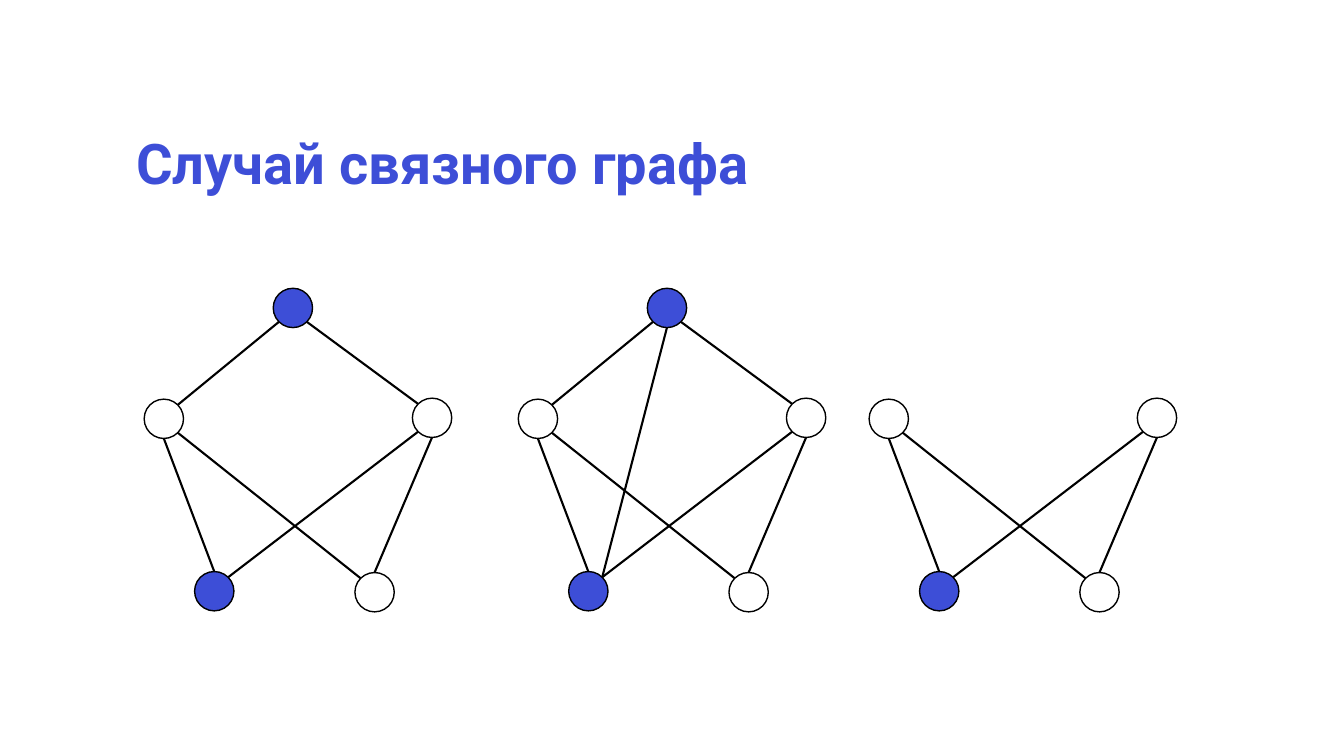
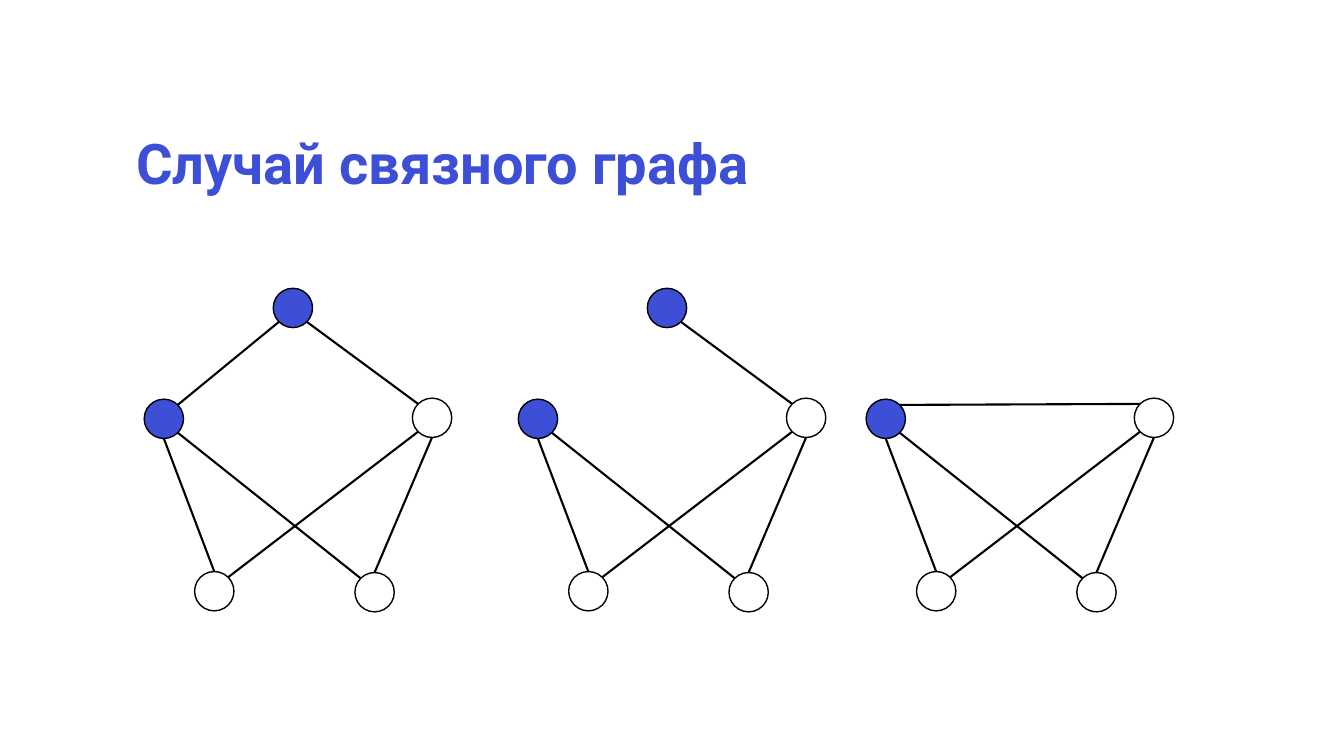
import math

from lxml import etree
from pptx import Presentation
from pptx.dml.color import RGBColor
from pptx.enum import shapes, text
from pptx.oxml import ns
from pptx.util import Emu, Pt

PX = 9144
WIDTH, HEIGHT = 1333, 750
TITLE_ONLY = 5
COLORS = {"accent": "3D4ED7", "paper": "FFFFFF", "ink": "000000"}
FONT = "Roboto"
TITLE = "Случай связного графа"
TITLE_BOX = (125, 125, 1085, 80)
DIAMETER = 39

NODES = {
    "top": (128, 286),
    "left": (0, 396),
    "right": (266, 395),
    "low_left": (50, 567),
    "low_right": (209, 568),
}
ANGLES = {"E": 0, "SE": 45, "S": 90, "SW": 135, "W": 180, "NW": 225, "N": 270, "NE": 315}

LOWER_EDGES = [
    ("low_left", "NE", "right", "SW"),
    ("left", "SE", "low_right", "NW"),
    ("left", "S", "low_left", "N"),
    ("right", "S", "low_right", "N"),
]
TOP_RIGHT = ("top", "SE", "right", "NW")
LEFT_TOP = ("left", "NE", "top", "SW")
TOP_LOW_LEFT = ("top", "S", "low_left", "NE")
LEFT_RIGHT = ("left", "NE", "right", "NW")

SLIDES = [
    [
        (143, {"top", "low_left"}, [TOP_RIGHT, LEFT_TOP], True),
        (514, {"top", "low_left"}, [TOP_RIGHT, LEFT_TOP, TOP_LOW_LEFT], True),
        (862, {"low_left"}, [], False),
    ],
    [
        (143, {"top", "left"}, [TOP_RIGHT, LEFT_TOP], True),
        (514, {"top", "left"}, [TOP_RIGHT], True),
        (859, {"left"}, [LEFT_RIGHT], False),
    ],
]


def px(length):
    return Emu(round(length * PX))


def color(name):
    return RGBColor.from_string(COLORS[name])


def write_text(frame, content, size=40, fill="accent", bold=True, spacing=0.9):
    frame.word_wrap = True
    frame.auto_size = text.MSO_AUTO_SIZE.NONE
    frame.vertical_anchor = text.MSO_ANCHOR.MIDDLE
    frame.text = content
    paragraph = frame.paragraphs[0]
    paragraph.alignment = text.PP_ALIGN.LEFT
    paragraph.line_spacing = spacing
    font = paragraph.runs[0].font
    font.name, font.size, font.bold = FONT, Pt(size), bold
    font.color.rgb = color(fill)


class Deck:
    """Holds the shared style and the current slide."""

    def __init__(self):
        self.presentation = Presentation()
        self.presentation.slide_width = px(WIDTH)
        self.presentation.slide_height = px(HEIGHT)
        self.slide = None

    def add_slide(self, title):
        layout = self.presentation.slide_layouts[TITLE_ONLY]
        self.slide = self.presentation.slides.add_slide(layout)
        shape = self.slide.shapes.title
        shape.left, shape.top, shape.width, shape.height = map(px, TITLE_BOX)
        write_text(shape.text_frame, title)

    def node(self, left, top, fill):
        shape = self.slide.shapes.add_shape(
            shapes.MSO_SHAPE.OVAL, px(left), px(top), px(DIAMETER), px(DIAMETER)
        )
        shape.shadow.inherit = False
        shape.fill.solid()
        shape.fill.fore_color.rgb = color(fill)
        shape.line.color.rgb = color("ink")
        shape.line.width = Pt(1)

    def edge(self, start, end):
        connector = self.slide.shapes.add_connector(
            shapes.MSO_CONNECTOR.STRAIGHT, *map(px, start + end)
        )
        connector.line.color.rgb = color("ink")
        connector.line.width = Pt(1.5)
        properties = connector._element.spPr
        etree.SubElement(properties, ns.qn("a:effectLst"))

    def graph(self, left, marked, extra_edges, has_top):
        for name, (x, y) in NODES.items():
            if name != "top" or has_top:
                self.node(left + x, y, "accent" if name in marked else "paper")
        for first, first_side, second, second_side in LOWER_EDGES + extra_edges:
            self.edge(rim(left, first, first_side), rim(left, second, second_side))


def rim(left, name, side):
    x, y = NODES[name]
    radius = DIAMETER / 2
    angle = math.radians(ANGLES[side])
    return (
        left + x + radius * (1 + math.cos(angle)),
        y + radius * (1 + math.sin(angle)),
    )


def main():
    deck = Deck()
    for graphs in SLIDES:
        deck.add_slide(TITLE)
        for graph in graphs:
            deck.graph(*graph)
    deck.presentation.save("out.pptx")


if __name__ == "__main__":
    main()
